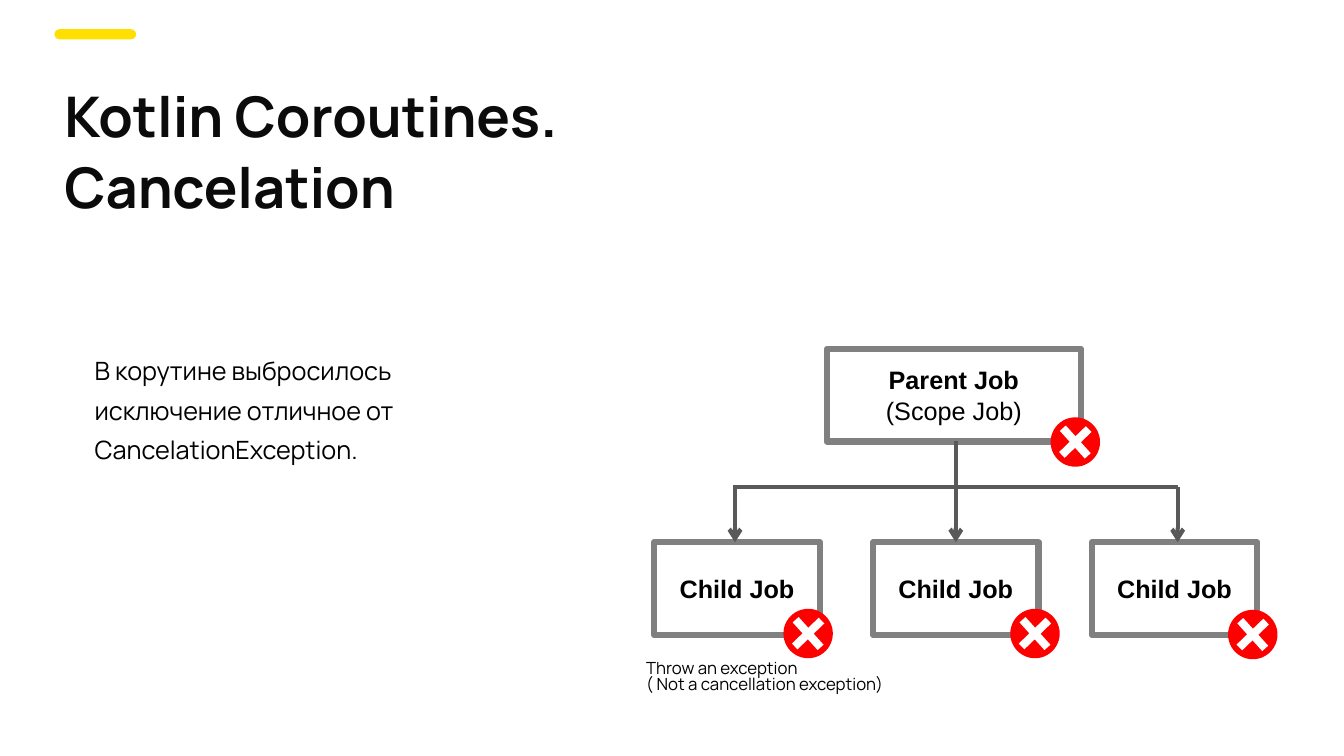
from dataclasses import dataclass

from pptx import Presentation
from pptx.dml.color import RGBColor
from pptx.enum import shapes, text
from pptx.oxml.ns import qn
from pptx.util import Inches, Pt
from lxml import etree


@dataclass(frozen=True)
class Theme:
    heading_font: str = "Manrope"
    diagram_font: str = "Arial"
    title_size: int = 40
    body_size: int = 18
    caption_size: int = 12
    border_width: float = 4.5
    arrow_width: float = 3
    title: str = "0B0B0B"
    ink: str = "000000"
    accent: str = "FFDF00"
    border: str = "808080"
    arrow: str = "595959"
    cancelled: str = "FF0000"
    cross: str = "FFFFFF"


THEME = Theme()
CHILD_TOP, CHILD_WIDTH, BOX_HEIGHT = 5.38, 1.64, 0.92
CHILD_LEFTS = [6.49 + 2.17 * i for i in range(3)]
PARENT_LEFT, PARENT_TOP, PARENT_WIDTH = 8.2, 3.46, 2.52
BRANCH_Y = 4.83
ARROW_XS = (7.29, 9.48, 11.68)
BADGES = ((7.77, 6.04), (10.42, 4.14), (10.02, 6.04), (12.18, 6.05))


def add_text(slide, box, lines, size, font, color=THEME.ink, bold_lines=(),
             spacings=None, align=text.PP_ALIGN.LEFT):
    """Add a wrapped text box with one paragraph per line."""
    frame = slide.shapes.add_textbox(*map(Inches, box)).text_frame
    frame.word_wrap = True
    frame.text = "\n".join(lines)
    for i, paragraph in enumerate(frame.paragraphs):
        paragraph.alignment = align
        if spacings:
            paragraph.line_spacing = spacings[i]
        run_font = paragraph.runs[0].font
        run_font.name = font
        run_font.size = Pt(size)
        run_font.bold = i in bold_lines
        run_font.color.rgb = RGBColor.from_string(color)


def add_filled(slide, kind, box, color, rotation=0):
    filled = slide.shapes.add_shape(kind, *map(Inches, box))
    filled.shadow.inherit = False
    filled.fill.solid()
    filled.fill.fore_color.rgb = RGBColor.from_string(color)
    filled.line.fill.background()
    filled.rotation = rotation
    return filled


def add_job(slide, left, top, width, lines):
    """Add an outlined job box with its centred label, first line bold."""
    frame = slide.shapes.add_shape(
        shapes.MSO_SHAPE.RECTANGLE, *map(Inches, (left, top, width, BOX_HEIGHT)))
    frame.shadow.inherit = False
    frame.fill.background()
    frame.line.color.rgb = RGBColor.from_string(THEME.border)
    frame.line.width = Pt(THEME.border_width)
    label_height = 0.1 + 0.3 * len(lines)
    label_top = top + (BOX_HEIGHT - label_height) / 2
    add_text(slide, (left, label_top, width, label_height), lines,
             THEME.body_size, THEME.diagram_font, bold_lines=(0,),
             align=text.PP_ALIGN.CENTER)


def add_line(slide, start, end, arrow=False):
    line = slide.shapes.add_connector(
        shapes.MSO_CONNECTOR.STRAIGHT, *map(Inches, start + end))
    line.line.color.rgb = RGBColor.from_string(THEME.arrow)
    line.line.width = Pt(THEME.arrow_width)
    if arrow:
        outline = line.line._get_or_add_ln()
        etree.SubElement(outline, qn("a:tailEnd"), type="arrow")
    etree.SubElement(line._element.spPr, qn("a:effectLst"))


def add_cancel_badge(slide, left, top):
    """Add a red disc with a white cross."""
    disc, bar_width, bar_height = 0.49, 0.37, 0.08
    add_filled(slide, shapes.MSO_SHAPE.OVAL, (left, top, disc, disc),
               THEME.cancelled)
    bar = (left + (disc - bar_width) / 2, top + (disc - bar_height) / 2,
           bar_width, bar_height)
    for rotation in (316, 228):
        add_filled(slide, shapes.MSO_SHAPE.RECTANGLE, bar, THEME.cross, rotation)


def add_job_tree(slide):
    add_job(slide, PARENT_LEFT, PARENT_TOP, PARENT_WIDTH,
            ["Parent Job", "(Scope Job)"])
    for left in CHILD_LEFTS:
        add_job(slide, left, CHILD_TOP, CHILD_WIDTH, ["Child Job"])
    first, middle, last = ARROW_XS
    for x in ARROW_XS:
        start_y = PARENT_TOP + BOX_HEIGHT if x == middle else BRANCH_Y
        add_line(slide, (x, start_y), (x, CHILD_TOP), arrow=True)
    add_line(slide, (first - 0.02, BRANCH_Y), (last, BRANCH_Y))
    for left, top in BADGES:
        add_cancel_badge(slide, left, top)


def main():
    deck = Presentation()
    deck.slide_width, deck.slide_height = Inches(13.33), Inches(7.5)
    slide = deck.slides.add_slide(deck.slide_layouts[6])

    add_text(slide, (0.54, 0.72, 7.83, 1.31), ["Kotlin Coroutines. Cancelation"],
             THEME.title_size, THEME.heading_font, THEME.title,
             bold_lines=(0,), spacings=(1.06,))
    accent = add_filled(slide, shapes.MSO_SHAPE.ROUNDED_RECTANGLE,
                        (0.54, 0.29, 0.81, 0.1), THEME.accent)
    accent.adjustments[0] = 0.5
    add_text(slide, (0.84, 3.39, 3.77, 2.02),
             ["В корутине выбросилось исключение отличное от CancelationException."],
             THEME.body_size, THEME.heading_font, spacings=(1.3,))
    add_job_tree(slide)
    add_text(slide, (6.31, 6.53, 2.59, 0.56),
             ["Throw an exception", "( Not a cancellation exception)"],
             THEME.caption_size, THEME.heading_font, spacings=(0.7, 0.8))

    deck.save("out.pptx")


if __name__ == "__main__":
    main()
